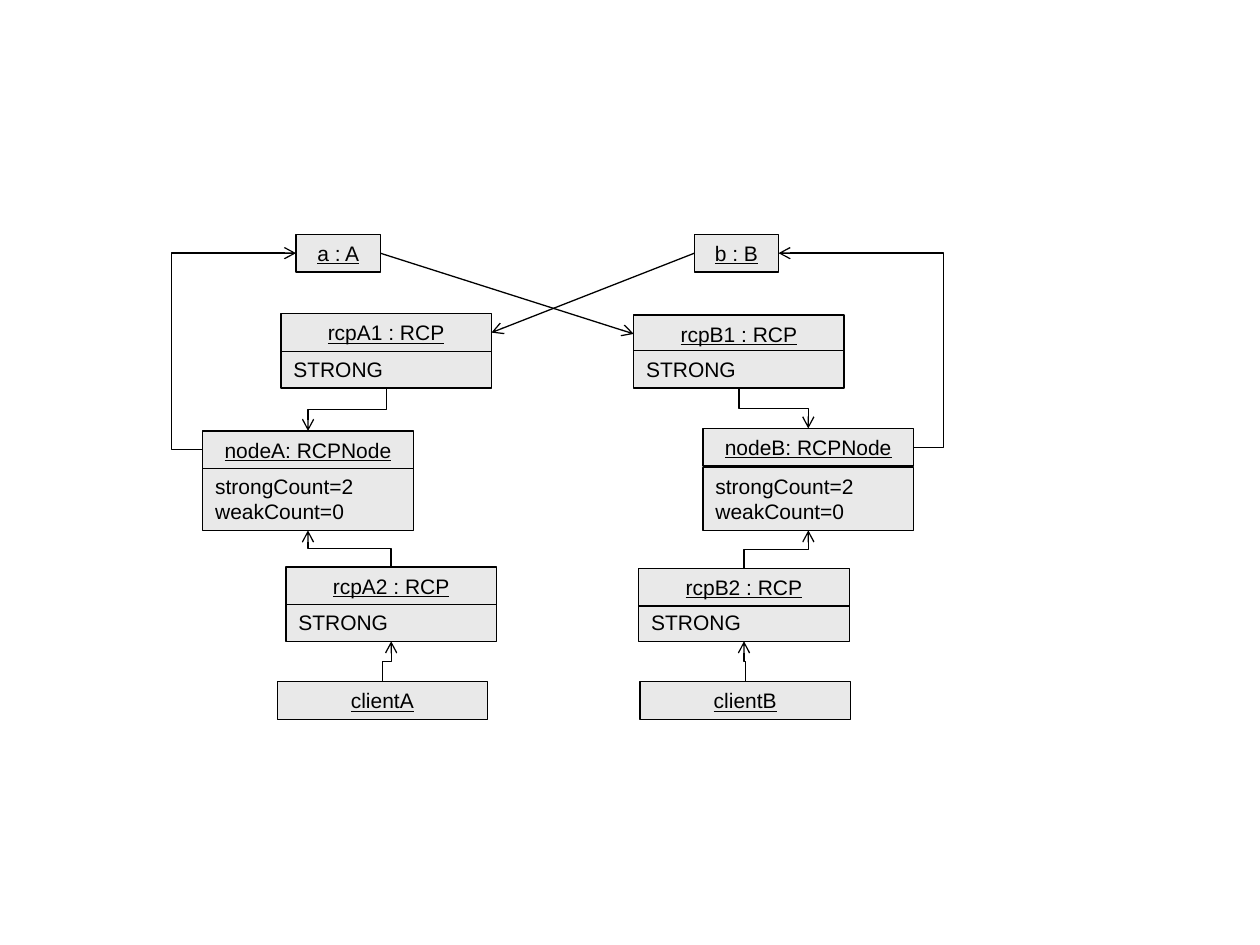
from lxml import etree
from pptx import Presentation
from pptx import util as u
from pptx.dml.color import RGBColor
from pptx.enum import shapes, text
from pptx.oxml.ns import qn

COLUMNS, ROWS = 100, 75
WIDE, LOW, TALL = 16.7, 3, 5  # box sizes in grid units


def color(value):
    return RGBColor.from_string(value)


def write(frame, lines, size=12, font="Arial", ink="000000", underline=False,
          align=text.PP_ALIGN.LEFT):
    frame.word_wrap = True
    frame.auto_size = text.MSO_AUTO_SIZE.SHAPE_TO_FIT_TEXT
    frame.vertical_anchor = text.MSO_ANCHOR.TOP
    for index, line in enumerate(lines):
        paragraph = frame.paragraphs[0] if index == 0 else frame.add_paragraph()
        paragraph.alignment = align
        run = paragraph.add_run()
        run.text = line
        run.font.size = u.Pt(size)
        run.font.name = font
        run.font.color.rgb = color(ink)
        run.font.underline = underline


def anchor(shape, side):
    """Middle of one side of a shape."""
    across = {"left": 0, "right": 1}.get(side, 0.5)
    down = {"top": 0, "bottom": 1}.get(side, 0.5)
    return shape.left + shape.width * across, shape.top + shape.height * down


class Diagram:
    fill, ink, weight = "E9E9E9", "000000", 0.75

    def __init__(self, presentation):
        self.slide = presentation.slides.add_slide(presentation.slide_layouts[6])
        self.column = presentation.slide_width / COLUMNS
        self.row = presentation.slide_height / ROWS

    def box(self, lines, left, top, width=WIDE, height=LOW, **style):
        shape = self.slide.shapes.add_shape(
            shapes.MSO_SHAPE.RECTANGLE,
            round(left * self.column), round(top * self.row),
            round(width * self.column), round(height * self.row))
        shape.shadow.inherit = False
        shape.fill.solid()
        shape.fill.fore_color.rgb = color(self.fill)
        shape.line.color.rgb = color(self.ink)
        shape.line.width = u.Pt(self.weight)
        write(shape.text_frame, lines, ink=self.ink, **style)
        return shape

    def title(self, name, left, top, width=WIDE):
        return self.box([name], left, top, width, underline=True,
                        align=text.PP_ALIGN.CENTER)

    def instance(self, name, fields, left, top, fields_top, fields_over=False):
        """Object with a title and a compartment of fields below it."""
        height = LOW if len(fields) == 1 else TALL
        if fields_over:
            title = self.title(name, left, top)
        body = self.box(fields, left, fields_top, height=height)
        if not fields_over:
            title = self.title(name, left, top)
        return title, body

    def connector(self, kind, begin, end):
        line = self.slide.shapes.add_connector(
            kind, *(round(value) for value in (*begin, *end)))
        line.line.color.rgb = color(self.ink)
        line.line.width = u.Pt(self.weight)
        properties = line._element.spPr
        outline = properties.find(qn("a:ln"))
        etree.SubElement(outline, qn("a:tailEnd"), type="arrow")
        etree.SubElement(properties, qn("a:effectLst"))
        return properties

    def arrow(self, begin, end):
        self.connector(shapes.MSO_CONNECTOR.STRAIGHT, begin, end)

    def step(self, begin, end):
        """Vertical elbow: a horizontal one turned a quarter about its centre."""
        x, y = ((a + b) / 2 for a, b in zip(begin, end))
        turned = [(x + py - y, y - px + x) for px, py in (begin, end)]
        properties = self.connector(shapes.MSO_CONNECTOR.ELBOW, *turned)
        properties.find(qn("a:xfrm")).set("rot", str(90 * 60000))

    def loop(self, begin, end, bend):
        """Elbow that runs around the outside through the column bend."""
        properties = self.connector(shapes.MSO_CONNECTOR.ELBOW, begin, end)
        share = (bend * self.column - begin[0]) / (end[0] - begin[0])
        guides = properties.find(qn("a:prstGeom")).find(qn("a:avLst"))
        etree.SubElement(guides, qn("a:gd"), name="adj1",
                         fmla=f"val {round(share * 100000)}")


def main():
    presentation = Presentation()
    presentation.slide_width, presentation.slide_height = u.Inches(10), u.Inches(7.5)
    diagram = Diagram(presentation)
    strong, counts = ["STRONG"], ["strongCount=2", "weakCount=0"]

    # Objects
    a = diagram.title("a : A", 23.5, 18.6, 6.7)
    b = diagram.title("b : B", 55.1, 18.6, 6.7)
    rcp_a1 = diagram.instance("rcpA1 : RCP", strong, 22.3, 24.9, 27.8)
    rcp_b1 = diagram.instance("rcpB1 : RCP", strong, 50.3, 25, 27.8, fields_over=True)
    node_a = diagram.instance("nodeA: RCPNode", counts, 16.1, 34.2, 37.1)
    node_b = diagram.instance("nodeB: RCPNode", counts, 55.8, 34, 37.1)
    rcp_a2 = diagram.instance("rcpA2 : RCP", strong, 22.7, 45, 47.9)
    rcp_b2 = diagram.instance("rcpB2 : RCP", strong, 50.7, 45.1, 47.9)
    client_a = diagram.title("clientA", 22, 54.1)
    client_b = diagram.title("clientB", 50.8, 54.1)

    # Crossed references between a and b
    diagram.arrow(anchor(b, "left"), anchor(rcp_a1[0], "right"))
    diagram.arrow(anchor(a, "right"), anchor(rcp_b1[0], "left"))

    # Nodes back to the objects they own
    diagram.loop(anchor(node_a[0], "left"), anchor(a, "left"), 13.6)
    diagram.loop(anchor(node_b[0], "right"), anchor(b, "right"), 74.9)

    # Client to pointer to node, on each side
    for first, node, second, client in ((rcp_a1, node_a, rcp_a2, client_a),
                                        (rcp_b1, node_b, rcp_b2, client_b)):
        diagram.step(anchor(first[1], "bottom"), anchor(node[0], "top"))
        diagram.step(anchor(second[0], "top"), anchor(node[1], "bottom"))
        diagram.step(anchor(client, "top"), anchor(second[1], "bottom"))

    presentation.save("out.pptx")


if __name__ == "__main__":
    main()
